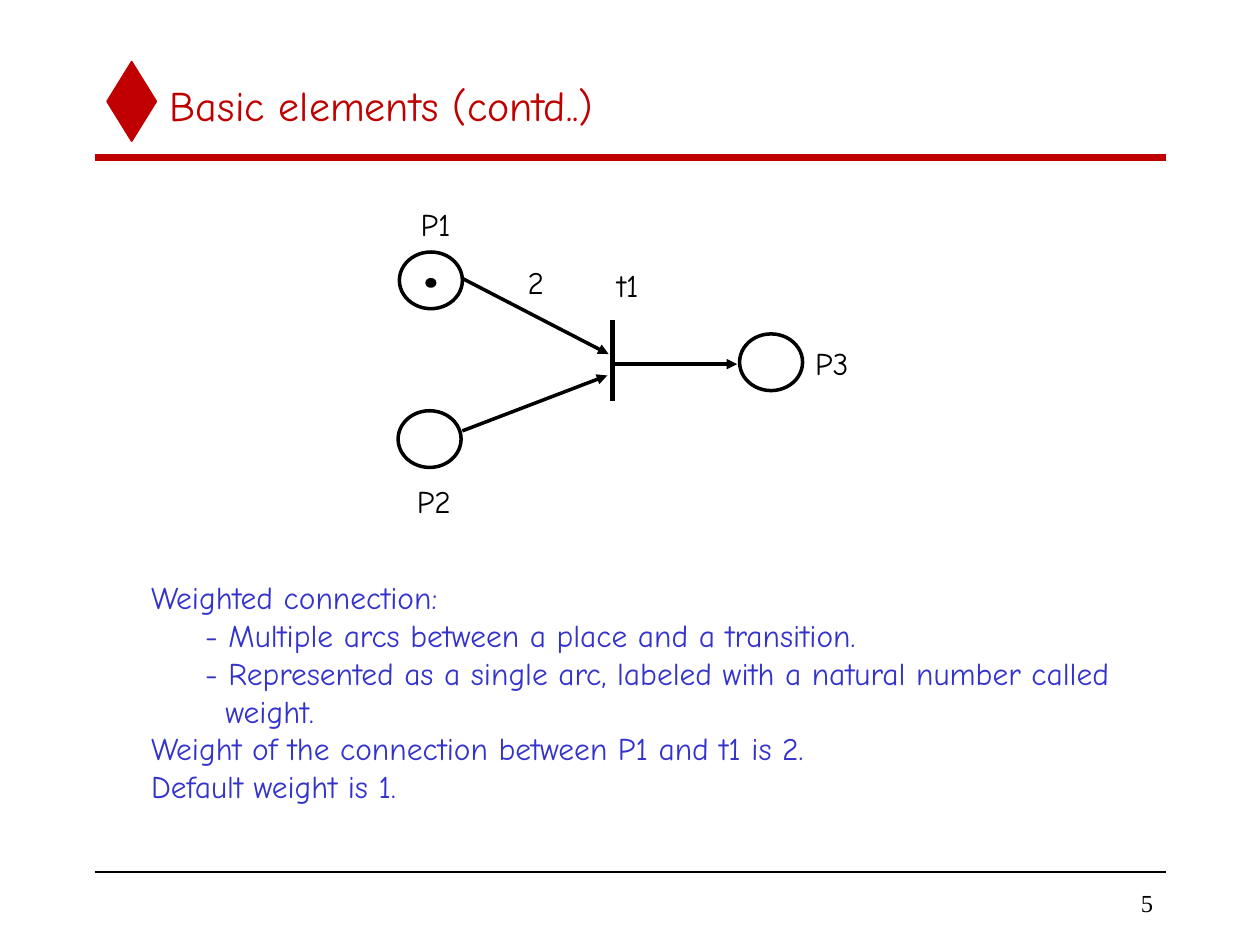
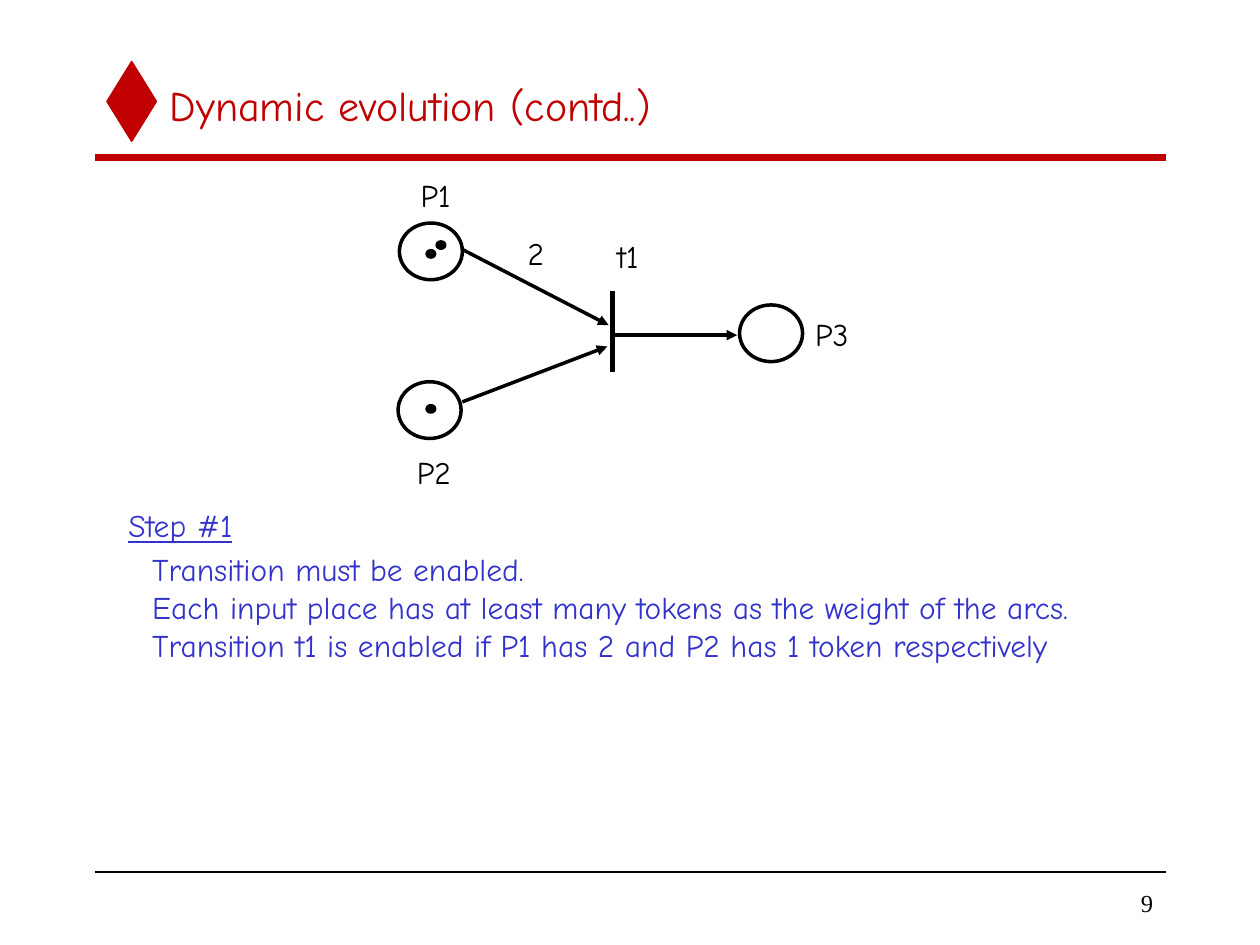
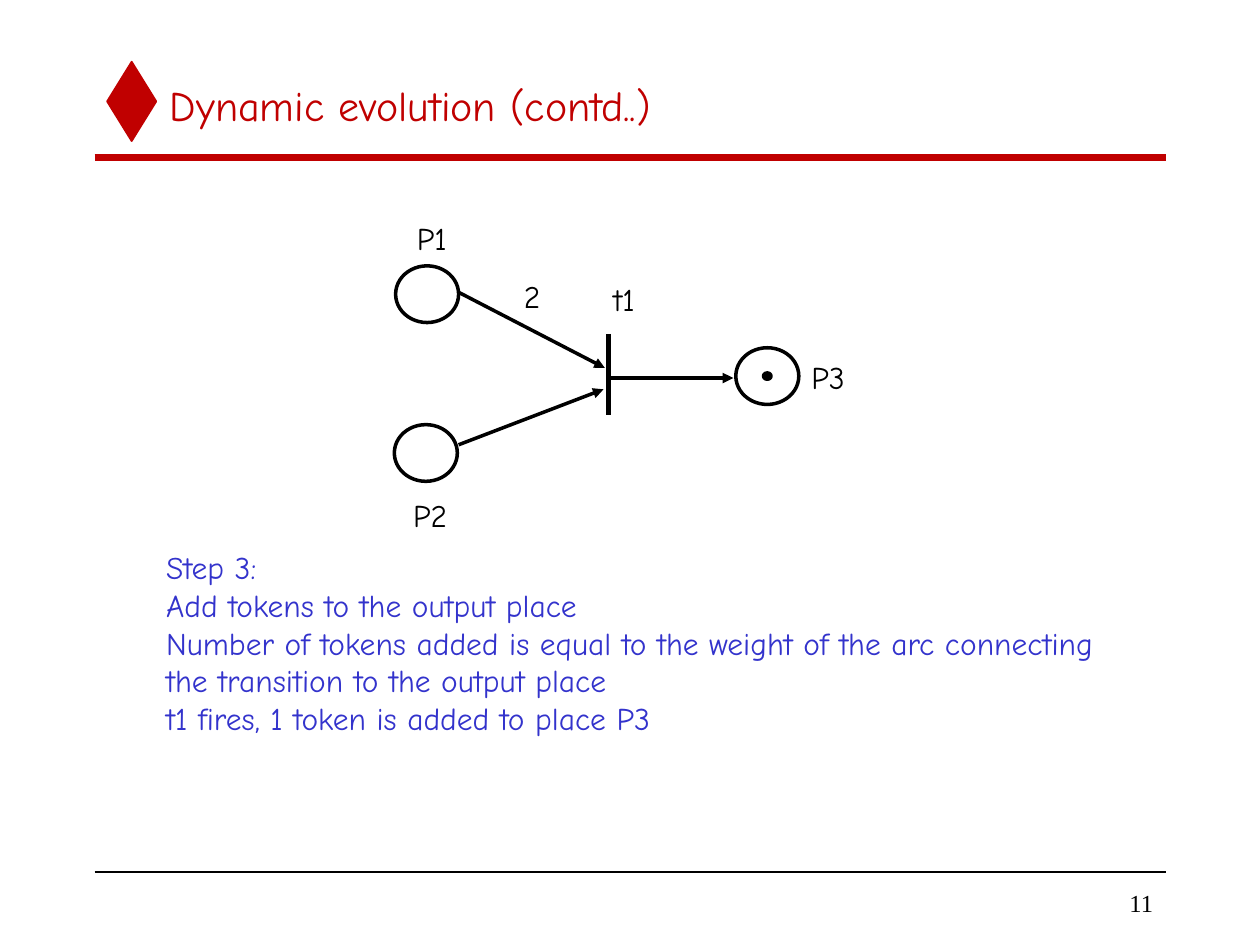
from lxml.etree import SubElement
from pptx import Presentation
from pptx.dml.color import RGBColor
from pptx.enum.shapes import MSO_CONNECTOR as Connector, MSO_SHAPE as Preset
from pptx.enum.text import MSO_ANCHOR as Anchor, MSO_AUTO_SIZE as AutoSize, PP_ALIGN as Align
from pptx.oxml.ns import qn
from pptx.util import Inches, Pt

RED, BLACK, BLUE = "C00000", "000000", "3333CC"
PLACES = {"P1": (3.17, 2), "P2": (3.16, 3.26), "P3": (5.87, 2.65)}
LABELS = [("P1", 3.24, 1.58, 0.44), ("P2", 3.21, 3.78, 0.48), ("P3", 6.37, 2.68, 0.48),
          ("t1", 4.8, 2.06, 0.37), ("2", 4.09, 2.04, 0.33)]
ARCS = [(3.67, 2.21, 4.83, 2.81), (3.67, 3.42, 4.82, 2.98), (4.87, 2.89, 5.85, 2.89)]
TRANSITION = (4.86, 2.54, 4.86, 3.18)


def colour(value):
    return RGBColor.from_string(value)


def write(para, text, size=18, font="Comic Neue", fill=BLACK, underline=False,
          align=Align.LEFT, indent=0):
    para.alignment = align
    if indent:
        para._p.get_or_add_pPr().set("marL", str(Inches(indent)))
    span = para.add_run()
    span.text = text
    span.font.size = Pt(size)
    span.font.name = font
    span.font.underline = underline
    span.font.color.rgb = colour(fill)


class Slides:
    """Holds the deck, the shared style and the current page."""

    def __init__(self):
        self.deck = Presentation()
        self.deck.slide_width, self.deck.slide_height = Inches(10), Inches(7.5)
        self.page = None

    def start(self, title, number):
        self.page = self.deck.slides.add_slide(self.deck.slide_layouts[6])
        self.shape(Preset.DIAMOND, 0.85, 0.49, 0.39, 0.63, fill=RED, line=RED, weight=1)
        self.line(0.75, 1.25, 9.25, 1.25, RED, 4)
        self.line(0.75, 6.92, 9.25, 6.92, BLACK, 1)
        self.text([str(number)], 7.83, 7, 1.42, 0.33, grow=False, size=14,
                  font="Times New Roman", align=Align.RIGHT)
        self.text([title], 1.25, 0.5, 8, 0.67, grow=False, wrap=True, size=24, fill=RED)

    def shape(self, preset, left, top, width, height, fill=None, line=BLACK, weight=2):
        shape = self.page.shapes.add_shape(
            preset, Inches(left), Inches(top), Inches(width), Inches(height))
        shape.shadow.inherit = False
        if fill:
            shape.fill.solid()
            shape.fill.fore_color.rgb = colour(fill)
        else:
            shape.fill.background()
        shape.line.color.rgb = colour(line)
        shape.line.width = Pt(weight)

    def line(self, x1, y1, x2, y2, stroke=BLACK, weight=2, arrow=False):
        line = self.page.shapes.add_connector(
            Connector.STRAIGHT, Inches(x1), Inches(y1), Inches(x2), Inches(y2))
        line.line.color.rgb = colour(stroke)
        line.line.width = Pt(weight)
        properties = line.element.spPr
        if arrow:
            SubElement(properties.find(qn("a:ln")), qn("a:tailEnd"), type="triangle")
        SubElement(properties, qn("a:effectLst"))

    def text(self, lines, left, top, width, height, grow=True, wrap=False, indents=None, **style):
        box = self.page.shapes.add_textbox(
            Inches(left), Inches(top), Inches(width), Inches(height))
        frame = box.text_frame
        frame.word_wrap = wrap
        frame.auto_size = AutoSize.SHAPE_TO_FIT_TEXT if grow else AutoSize.NONE
        frame.vertical_anchor = Anchor.TOP if grow else Anchor.MIDDLE
        for index, line in enumerate(lines):
            para = frame.add_paragraph() if index else frame.paragraphs[0]
            write(para, line, indent=indents[index] if indents else 0, **style)

    def petri_net(self, tokens, dx=0, dy=0):
        for left, top in PLACES.values():
            self.shape(Preset.OVAL, left + dx, top + dy, 0.5, 0.45)
        for left, top in tokens:
            self.shape(Preset.OVAL, left + dx, top + dy, 0.06, 0.05, fill=BLACK)
        x1, y1, x2, y2 = TRANSITION
        self.line(x1 + dx, y1 + dy, x2 + dx, y2 + dy, weight=2.5)
        for x1, y1, x2, y2 in ARCS:
            self.line(x1 + dx, y1 + dy, x2 + dx, y2 + dy, arrow=True)
        for label, left, top, width in LABELS:
            self.text([label], left + dx, top + dy, width, 0.4)


def main():
    slides = Slides()

    slides.start("Basic elements (contd..)", 5)
    slides.petri_net([(3.39, 2.22)])
    slides.text(["Weighted connection:",
                 "- Multiple arcs between a place and a transition.",
                 "- Represented as a single arc, labeled with a natural number called",
                 "weight.",
                 "Weight of the connection between P1 and t1 is 2.",
                 "Default weight is 1."],
                1.1, 4.54, 7.82, 1.9, indents=[0, 0.43, 0.43, 0.59, 0, 0], fill=BLUE)

    slides.start("Dynamic evolution (contd..)", 9)
    slides.petri_net([(3.39, 2.22), (3.47, 2.15), (3.39, 3.45)], dy=-0.23)
    slides.text(["Step #1"], 0.92, 3.97, 1.03, 0.4, fill=BLUE, underline=True)
    slides.text(["Transition must be enabled.",
                 "Each input place has at least many tokens as the weight of the arcs.",
                 "Transition t1 is enabled if P1 has 2 and P2 has 1 token respectively"],
                1.11, 4.32, 7.49, 1, fill=BLUE)

    slides.start("Dynamic evolution (contd..)", 11)
    slides.petri_net([(6.09, 2.85)], dx=-0.03, dy=0.11)
    slides.text(["Step 3:",
                 "Add tokens to the output place",
                 "Number of tokens added is equal to the weight of the arc connecting",
                 "the transition to the output place",
                 "t1 fires, 1 token is added to place P3"],
                1.22, 4.3, 7.67, 1.6, fill=BLUE)

    slides.deck.save("out.pptx")


if __name__ == "__main__":
    main()
